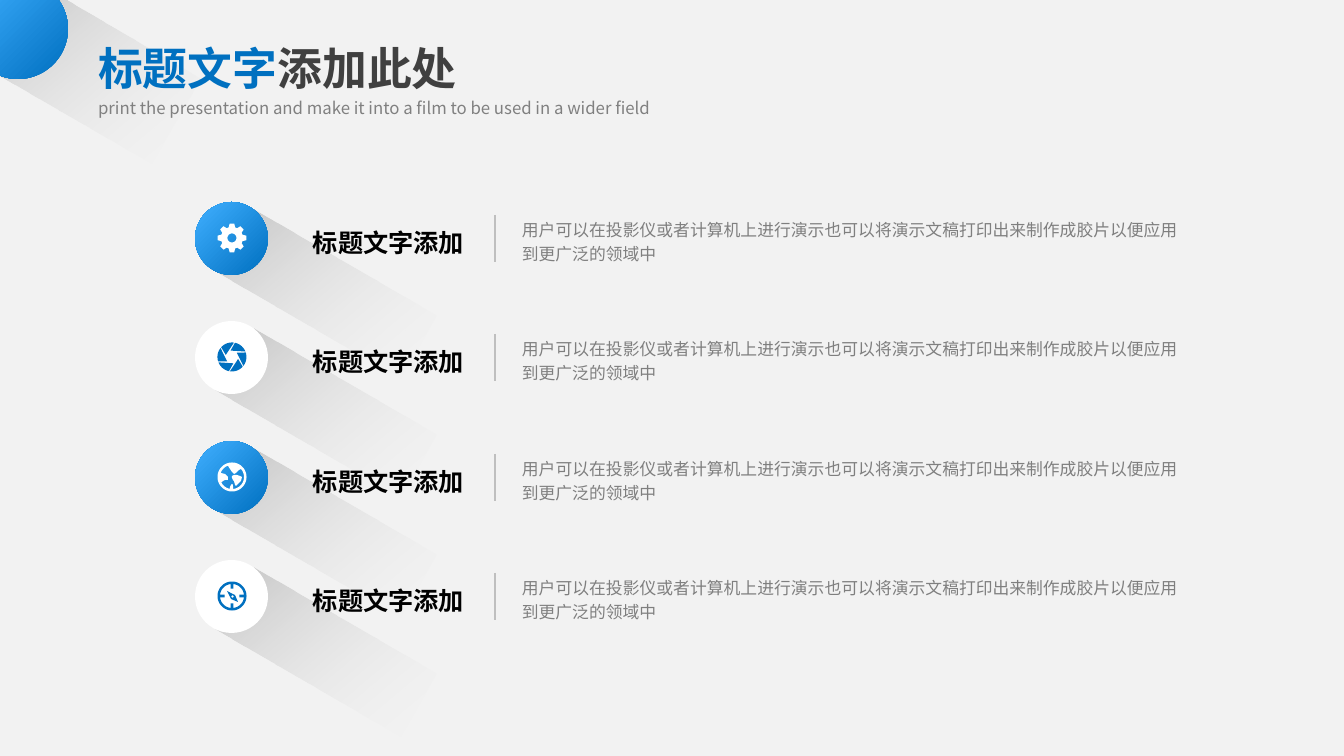
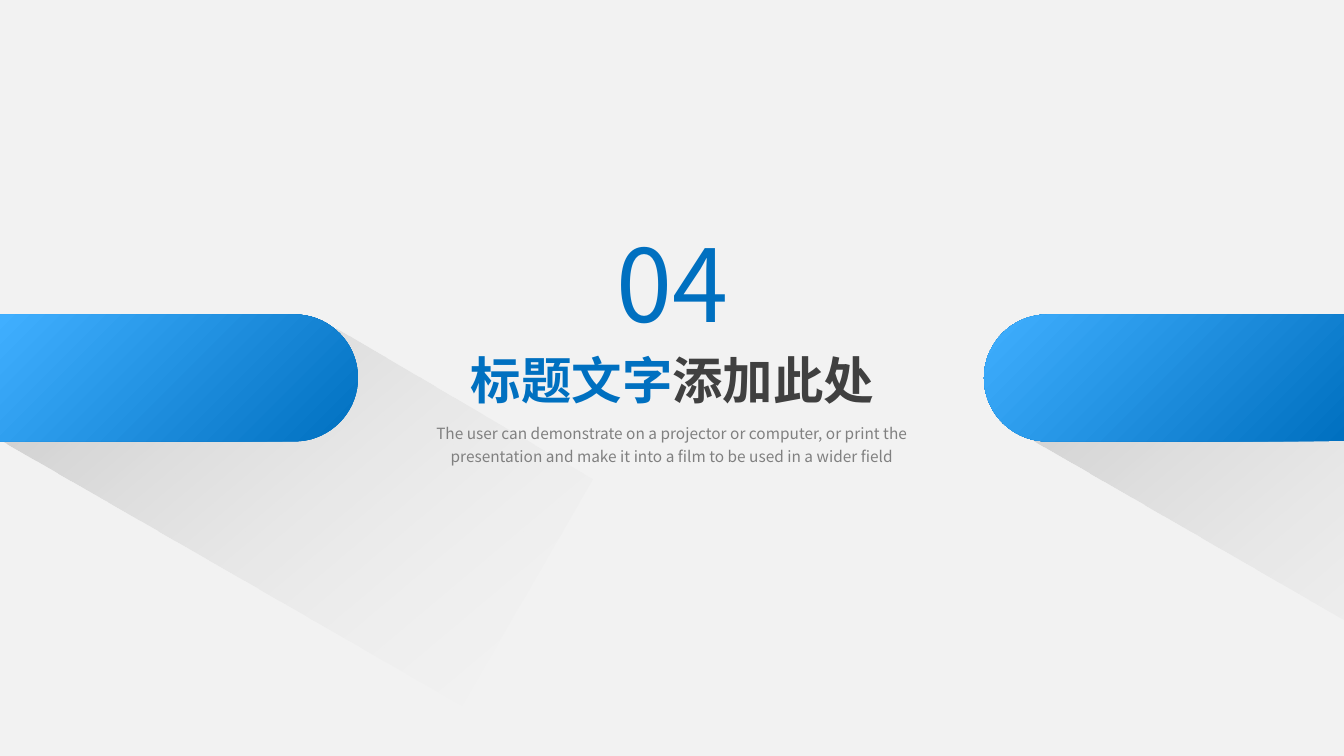
from math import cos, radians, sin

from lxml.etree import SubElement
from pptx import Presentation
from pptx.dml.color import RGBColor
from pptx.enum.shapes import MSO_CONNECTOR as Link, MSO_SHAPE as Kind
from pptx.enum.text import MSO_ANCHOR as Anchor, MSO_AUTO_SIZE as Fit, PP_ALIGN as Align
from pptx.oxml.ns import qn
from pptx.util import Pt

WIDE, HIGH = 1344, 756
SCALE = 12192000 / WIDE
FACE = "Noto Sans CJK SC"
BLUE, SKY, WHITE, PAPER = "0070C0", "40AFFF", "FFFFFF", "F2F2F2"
DARK, GREY, NOTE, RULE, BLACK = "404040", "808080", "7F7F7F", "BFBFBF", "000000"
TITLE = [("标题文字", BLUE), ("添加此处", DARK)]
HEAD = "标题文字添加"
BODY = "用户可以在投影仪或者计算机上进行演示也可以将演示文稿打印出来制作成胶片以便应用到更广泛的领域中"


def emu(px):
    return round(px * SCALE)


def tint(code):
    return RGBColor.from_string(code)


def blend(fill, first, last, angle, alphas=()):
    fill.gradient()
    fill.gradient_angle = angle
    for stop, code in zip(fill.gradient_stops, (first, last)):
        stop.color.rgb = tint(code)
    for node, alpha in zip(fill._xPr.iter(qn("a:srgbClr")), alphas):
        SubElement(node, qn("a:alpha"), val=str(alpha * 1000))


def paint(shape, code=None):
    shape.shadow.inherit = False
    shape.line.fill.background()
    if code:
        shape.fill.solid()
        shape.fill.fore_color.rgb = tint(code)
    else:
        blend(shape.fill, BLUE, SKY, 135)


def outline(slide, left, top, loops):
    loops = [[(emu(left + x), emu(top + y)) for x, y in loop] for loop in loops]
    pen = slide.shapes.build_freeform(*loops[0][0], scale=1.0)
    for loop in loops:
        if loop is not loops[0]:
            pen.move_to(*loop[0])
        pen.add_line_segments(loop[1:], close=True)
    return pen.convert_to_shape()


def shade(slide, left, top, points):
    shape = outline(slide, left, top, [points])
    paint(shape, BLACK)
    blend(shape.fill, BLACK, PAPER, 340, (20, 0))
    shape.rotation = 30


def disc(slide, left, top, size, code=None):
    shape = slide.shapes.add_shape(Kind.OVAL, emu(left), emu(top), emu(size), emu(size))
    paint(shape, code)


def write(shape, parts, size, align=Align.LEFT, space=1.0, bold=False, wrap=True):
    frame = shape.text_frame
    frame.auto_size = Fit.NONE
    frame.word_wrap = wrap
    frame.vertical_anchor = Anchor.TOP
    line = frame.paragraphs[0]
    line.alignment, line.line_spacing, line.space_before = align, space, Pt(0)
    for text, code in parts:
        run = line.add_run()
        run.text = text
        font = run.font
        font.name, font.size, font.bold = FACE, Pt(size), bold
        font.color.rgb = tint(code)
        SubElement(run._r.get_or_add_rPr(), qn("a:ea"), typeface=FACE)


def label(slide, box, text, code, size, **style):
    shape = slide.shapes.add_textbox(*map(emu, box))
    write(shape, [(text, code)], size, **style)


def place(slide, shape, box):
    shape.left, shape.top, shape.width, shape.height = map(emu, box)
    slide.shapes._spTree.append(shape._element)


def header(slide, box, size, sub, text, small, align):
    title, lead = slide.shapes.title, slide.placeholders[1]
    place(slide, title, box)
    write(title, TITLE, size, align, bold=True, wrap=False)
    place(slide, lead, sub)
    write(lead, [(text, GREY)], small, align, 1.25)


def divide(slide, x, top, end):
    line = slide.shapes.add_connector(Link.STRAIGHT, emu(x), emu(top), emu(x), emu(end))
    line.line.color.rgb = tint(RULE)
    line.line.width = Pt(1)
    SubElement(line._element.spPr, qn("a:effectLst"))


def polar(r, angle):
    return r * cos(radians(angle)), r * sin(radians(angle))


def arc(r, start, end, x=0, y=0):
    count = max(2, abs(end - start) // 5)
    spots = (polar(r, start + (end - start) * i / count) for i in range(count + 1))
    return [(x + dx, y + dy) for dx, dy in spots]


def gear():
    tooth = ((11, -17), (14.5, -9), (14.5, 9), (11, 17))
    rim = [polar(r, turn + a) for turn in range(0, 360, 45) for r, a in tooth]
    return [rim, arc(4.5, 0, 360)]


def lens():
    return [arc(14.5, turn - 138, turn - 82) + [polar(6.5, turn - 162)]
            for turn in range(0, 360, 60)]


def globe():
    east = [(8, -1), (5, -2), (2, -2), (0, -1), (0, 1), (1, 3), (2, 4), (3, 8),
            (4, 9), (6, 7), (9, 4), (10, 0)]
    west = [(-9, 4), (-7, 3), (-4, 3), (-4, 0), (-7, -3)]
    north = [(-2, -8), (0, -5), (2, -3), (4, -4), (7, -7)]
    south = [(1, 8), (0, 7), (-1, 8), (-2, 10)]
    sea = arc(12, 100, 153) + west + arc(12, -160, -110) + north + arc(12, -42, 85) + south
    return [arc(14.5, 0, 360), sea, east]


def compass():
    dial = []
    for turn in range(0, 360, 90):
        dial += arc(12, turn + 7, turn + 83) + [polar(7.5, turn + 79), polar(7.5, turn + 101)]
    needle = [(-5, -5), (-2, 1), (-1, 3), (6, 6), (3, -1), (1, -2)]
    return [arc(14.5, 0, 360), dial, needle, arc(1.2, 0, 360, 0.5, 0.5)]


def entry(slide, top, icon, back, front):
    shade(slide, 219, top + 55, [(0, 73), (3, 0), (214, 0), (214, 73)])
    disc(slide, 195, top, 73, back)
    paint(outline(slide, 232, top + 36, icon()), front)
    divide(slide, 495, top + 13, top + 60)
    label(slide, (303, top + 14, 247, 43), HEAD, BLACK, 18,
          align=Align.JUSTIFY, space=1.2, bold=True)
    label(slide, (512, top + 9, 676, 59), BODY, NOTE, 12, align=Align.JUSTIFY, space=1.2)


def agenda(slide):
    looks = ((None, WHITE), (WHITE, BLUE))
    for i, icon in enumerate((gear, lens, globe, compass)):
        entry(slide, 202 + i * 239 // 2, icon, *looks[i % 2])
    shade(slide, 5, 25, [(0, 99), (4, 0), (183, 1), (183, 99)])
    disc(slide, -32, -21, 100)
    header(slide, (88, 36, 382, 64), 32, (88, 88, 634, 33),
           "print the presentation and make it into a film to be used in a wider field",
           12, Align.LEFT)


def section(slide):
    shade(slide, 33, 327, [(0, 265), (233, 0), (530, 2), (530, 264)])
    shade(slide, 1046, 318, [(0, 263), (222, 2), (530, 0), (530, 263)])
    for edge, hub, start in ((0, 294.5, -90), (WIDE, 1047.5, 90)):
        bend = arc(63.5, start, start + 180, hub, 63.5)
        ends = [(edge, bend[-1][1]), (edge, bend[0][1])]
        paint(outline(slide, 0, 314.5, [bend + ends]))
    header(slide, (459, 344, 427, 72), 36, (400, 414, 544, 54),
           "The user can demonstrate on a projector or computer, or print the "
           "presentation and make it into a film to be used in a wider field",
           11, Align.CENTER)
    label(slide, (601, 217, 143, 132), "04", BLUE, 72, align=Align.CENTER, wrap=False)


def main():
    deck = Presentation()
    deck.slide_width, deck.slide_height = emu(WIDE), emu(HIGH)
    fill = deck.slide_master.background.fill
    fill.solid()
    fill.fore_color.rgb = tint(PAPER)
    for build in (agenda, section):
        build(deck.slides.add_slide(deck.slide_layouts[0]))
    deck.save("out.pptx")


if __name__ == "__main__":
    main()
